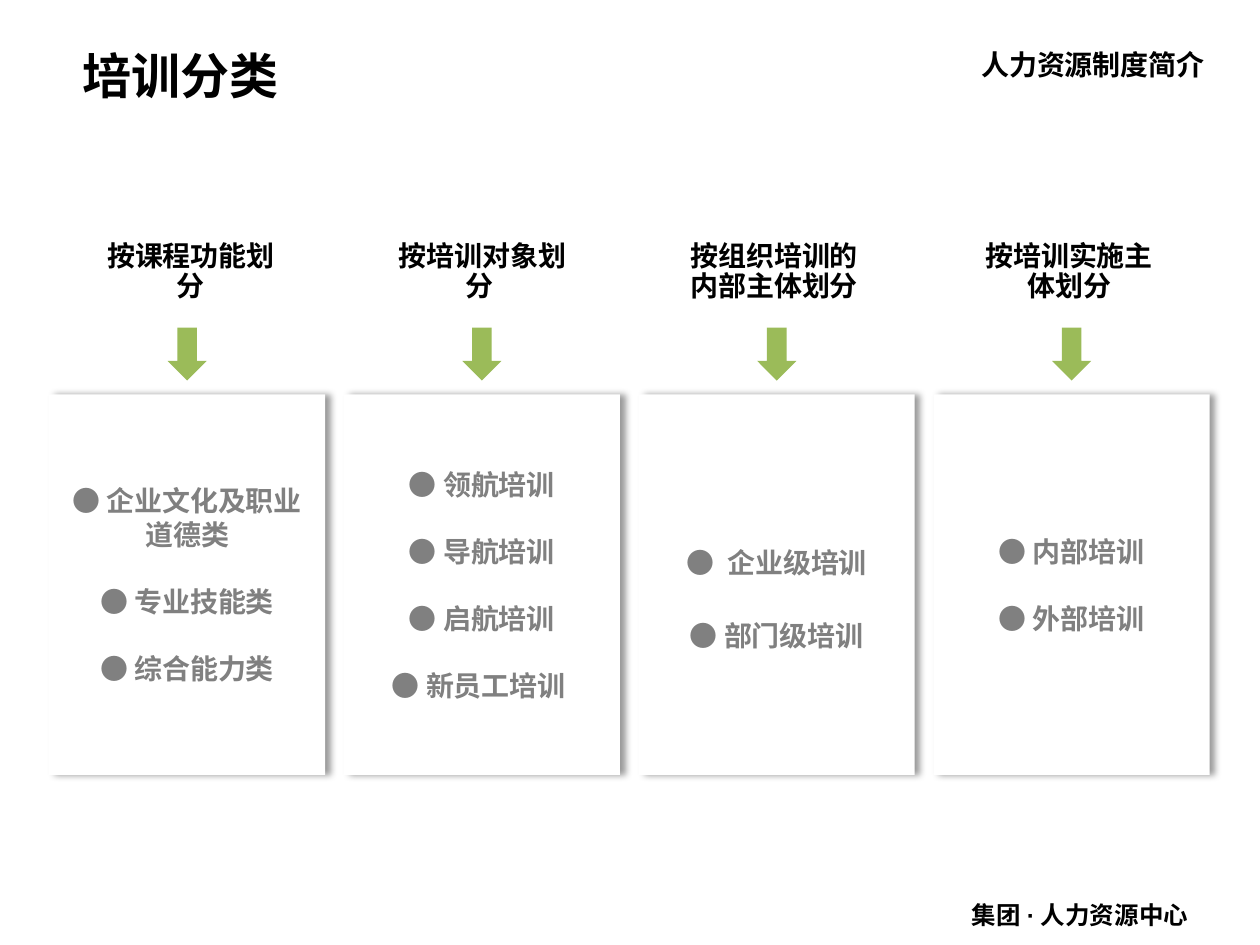
from lxml.etree import SubElement
from pptx import Presentation
from pptx.dml.color import RGBColor
from pptx.enum.shapes import MSO_SHAPE
from pptx.enum.text import MSO_ANCHOR, PP_ALIGN
from pptx.oxml.ns import qn
from pptx.util import Inches, Pt

FACE = "Noto Sans CJK SC"
BLACK, GREY, GREEN, WHITE = "000000", "808080", "9BBB59", "FFFFFF"
LEFT, STEP, WIDE = 0.39, 2.34, 2.19

# Heading, its offset from the panel, and the panel's items
COLUMNS = [
    ("按课程功能划分", 0.08,
     ["● 企业文化及职业道德类", "● 专业技能类", "● 综合能力类"]),
    (" 按培训对象划分", 0.03,
     ["● 领航培训", "● 导航培训", "● 启航培训", "● 新员工培训 "]),
    ("按组织培训的内部主体划分", 0.03,
     [["●", " ", "企业级培训"], "● 部门级培训"]),
    ("按培训实施主体划分", 0.03, ["● 内部培训", "● 外部培训"]),
]


def color(value):
    return RGBColor.from_string(value)


def style(font, size, tint):
    font.name, font.size, font.bold = FACE, Pt(size), True
    font.color.rgb = color(tint)
    SubElement(font._element, qn("a:ea"), typeface=FACE)


def write(para, parts, size, tint, align=PP_ALIGN.CENTER):
    """Fill a paragraph with one string or a list of runs."""
    para.alignment = align
    style(para.font, size, tint)
    for part in [parts] if isinstance(parts, str) else parts:
        para.add_run().text = part


def add_text(slide, box, parts, size, align=PP_ALIGN.CENTER, wrap=True):
    frame = slide.shapes.add_textbox(*map(Inches, box)).text_frame
    frame.word_wrap = wrap
    write(frame.paragraphs[0], parts, size, BLACK, align)
    return frame


def add_block(slide, kind, box, fill):
    shape = slide.shapes.add_shape(kind, *map(Inches, box))
    shape.fill.solid()
    shape.fill.fore_color.rgb = color(fill)
    shape.line.fill.background()
    shape.shadow.inherit = False
    shape.text_frame.word_wrap = True
    shape.text_frame.vertical_anchor = MSO_ANCHOR.MIDDLE
    return shape


def add_heading(slide, left, text):
    frame = add_block(slide, MSO_SHAPE.RECTANGLE,
                      (left, 1.87, 2.09, 0.58), WHITE).text_frame
    frame.margin_left = frame.margin_right = Inches(0.31)
    frame.margin_top = frame.margin_bottom = 0
    write(frame.paragraphs[0], text, 16, BLACK)
    frame.paragraphs[0].line_spacing = 0.9


def add_shadow(shape):
    effects = shape._element.spPr.find(qn("a:effectLst"))
    outer = SubElement(effects, qn("a:outerShdw"), blurRad=str(Pt(4)),
                       dist=str(Pt(3)), dir="0", algn="l", rotWithShape="0")
    tint = SubElement(outer, qn("a:srgbClr"), val=BLACK)
    SubElement(tint, qn("a:alpha"), val="40000")


def add_panel(slide, left, items):
    panel = add_block(slide, MSO_SHAPE.RECTANGLE,
                      (left, 3.13, WIDE, 3.02), WHITE)
    add_shadow(panel)
    frame = panel.text_frame
    for index, item in enumerate(items):
        para = frame.add_paragraph() if index else frame.paragraphs[0]
        write(para, item, 16, GREY)
        if index:
            para.space_before = Pt(19.2)
        for run in para.runs:
            if run.text == " ":
                run.font.size = Pt(32)


def main():
    deck = Presentation()
    deck.slide_width, deck.slide_height = Inches(10), Inches(7.5)
    slide = deck.slides.add_slide(deck.slide_layouts[6])

    add_text(slide, (0.55, 0.31, 1.77, 0.57), "培训分类", 28, wrap=False)
    add_text(slide, (7.66, 0.33, 2.03, 0.37), "人力资源制度简介", 16)
    footer = add_text(slide, (4.53, 7.09, 5, 0.34),
                      ["集团", "·", "人力资源中心"], 14, PP_ALIGN.RIGHT)
    dot = footer.paragraphs[0].runs[1].font
    dot.name = "Arial"
    SubElement(dot._element, qn("a:ea"), typeface="Arial")

    for index, (heading, shift, items) in enumerate(COLUMNS):
        left = LEFT + index * STEP
        add_heading(slide, left + shift, heading)
        add_panel(slide, left, items)
        add_block(slide, MSO_SHAPE.DOWN_ARROW,
                  (left + (WIDE - 0.31) / 2, 2.6, 0.31, 0.42), GREEN)

    deck.save("out.pptx")


if __name__ == "__main__":
    main()
